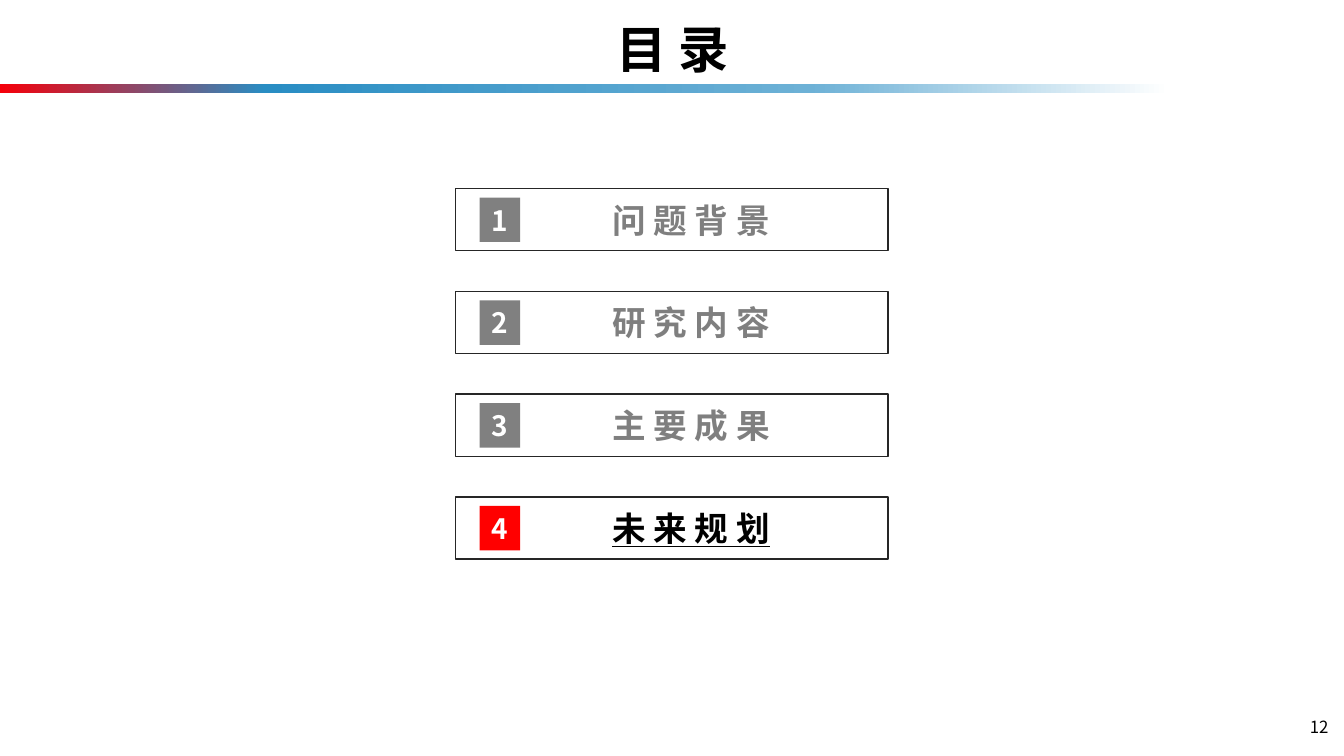
"""Build the agenda slide with its last section highlighted."""
from dataclasses import dataclass

from lxml import etree
from pptx import Presentation
from pptx import util as u
from pptx.dml.color import RGBColor
from pptx.enum import shapes, text
from pptx.oxml.ns import qn


@dataclass(frozen=True)
class Theme:
    font: str = "Noto Sans CJK SC"
    ink: str = "000000"
    paper: str = "FFFFFF"
    outline: str = "262626"
    muted: str = "7F7F7F"
    badge: str = "808080"
    accent: str = "FF0000"
    bar_stops: tuple = ((0, "F5000A"), (20, "298DC3"), (61, "6DB1D6"), (88, "FFFFFF"))
    title_size: int = 36
    item_size: int = 24
    badge_size: int = 20
    number_size: int = 12


class AgendaSlide:
    def __init__(self, presentation, theme):
        self.theme = theme
        self.slide = presentation.slides.add_slide(presentation.slide_layouts[5])

    def set_text(self, shape, words, size, color, align, bold=True, underline=False):
        frame = shape.text_frame
        frame.word_wrap = True
        frame.auto_size = text.MSO_AUTO_SIZE.NONE
        paragraph = frame.paragraphs[0]
        paragraph.alignment = align
        run = paragraph.add_run()
        run.text = words
        font = run.font
        font.size, font.bold = u.Pt(size), bold
        if underline:
            font.underline = True
        font.color.rgb = RGBColor.from_string(color)
        font.name = self.theme.font
        east_asian = etree.SubElement(run._r.get_or_add_rPr(), qn("a:ea"))
        east_asian.set("typeface", self.theme.font)

    def title(self, words, left, top, width, height):
        shape = self.slide.shapes.title
        shape.left, shape.top = u.Cm(left), u.Cm(top)
        shape.width, shape.height = u.Cm(width), u.Cm(height)
        self.set_text(shape, words, self.theme.title_size, self.theme.ink, text.PP_ALIGN.CENTER)
        shape.text_frame.vertical_anchor = text.MSO_ANCHOR.MIDDLE

    def rectangle(self, left, top, width, height, fill=None, outline=None):
        shape = self.slide.shapes.add_shape(
            shapes.MSO_SHAPE.RECTANGLE, u.Cm(left), u.Cm(top), u.Cm(width), u.Cm(height))
        shape.shadow.inherit = False
        if fill:
            shape.fill.solid()
            shape.fill.fore_color.rgb = RGBColor.from_string(fill)
        else:
            shape.fill.background()
        if outline:
            shape.line.color.rgb = RGBColor.from_string(outline)
            shape.line.width = u.Pt(1)
        else:
            shape.line.fill.background()
        shape.text_frame.vertical_anchor = text.MSO_ANCHOR.MIDDLE
        return shape

    def gradient_bar(self, left, top, width, height):
        shape = self.rectangle(left, top, width, height)
        shape.fill.gradient()
        shape.fill.gradient_angle = 0
        stops = shape._element.spPr.find(qn("a:gradFill")).find(qn("a:gsLst"))
        for stop in list(stops):
            stops.remove(stop)
        for percent, color in self.theme.bar_stops:
            stop = etree.SubElement(stops, qn("a:gs"), pos=str(percent * 1000))
            etree.SubElement(stop, qn("a:srgbClr"), val=color)

    def agenda_item(self, number, words, left, top, current):
        theme = self.theme
        box = self.rectangle(left, top, 10.9, 1.57, outline=theme.outline)
        box.text_frame.margin_left = u.Cm(1.22)
        self.set_text(box, words, theme.item_size, theme.ink if current else theme.muted,
                      text.PP_ALIGN.CENTER, underline=current)
        badge = self.rectangle(left + 0.61, top + 0.23, 1.02, 1.12,
                               fill=theme.accent if current else theme.badge)
        badge.text_frame.margin_left = badge.text_frame.margin_right = 0
        self.set_text(badge, str(number), theme.badge_size, theme.paper, text.PP_ALIGN.CENTER)

    def page_number(self, words, left, top, width, height):
        box = self.slide.shapes.add_textbox(u.Cm(left), u.Cm(top), u.Cm(width), u.Cm(height))
        self.set_text(box, words, self.theme.number_size, self.theme.ink,
                      text.PP_ALIGN.RIGHT, bold=False)


def main():
    presentation = Presentation()
    presentation.slide_width, presentation.slide_height = u.Cm(33.87), u.Cm(19.05)
    agenda = AgendaSlide(presentation, Theme())
    agenda.gradient_bar(0, 2.13, 33.48, 0.22)
    agenda.title("目 录", 4.98, 0.33, 23.93, 1.8)
    sections = ("问 题 背 景", "研 究 内 容", "主 要 成 果", "未 来 规 划")
    for index, section in enumerate(sections):
        agenda.agenda_item(index + 1, section, 11.48, 4.75 + index * 2.59,
                           current=index == len(sections) - 1)
    agenda.page_number("12", 25.83, 17.93, 7.9, 1.02)
    presentation.save("out.pptx")


if __name__ == "__main__":
    main()
